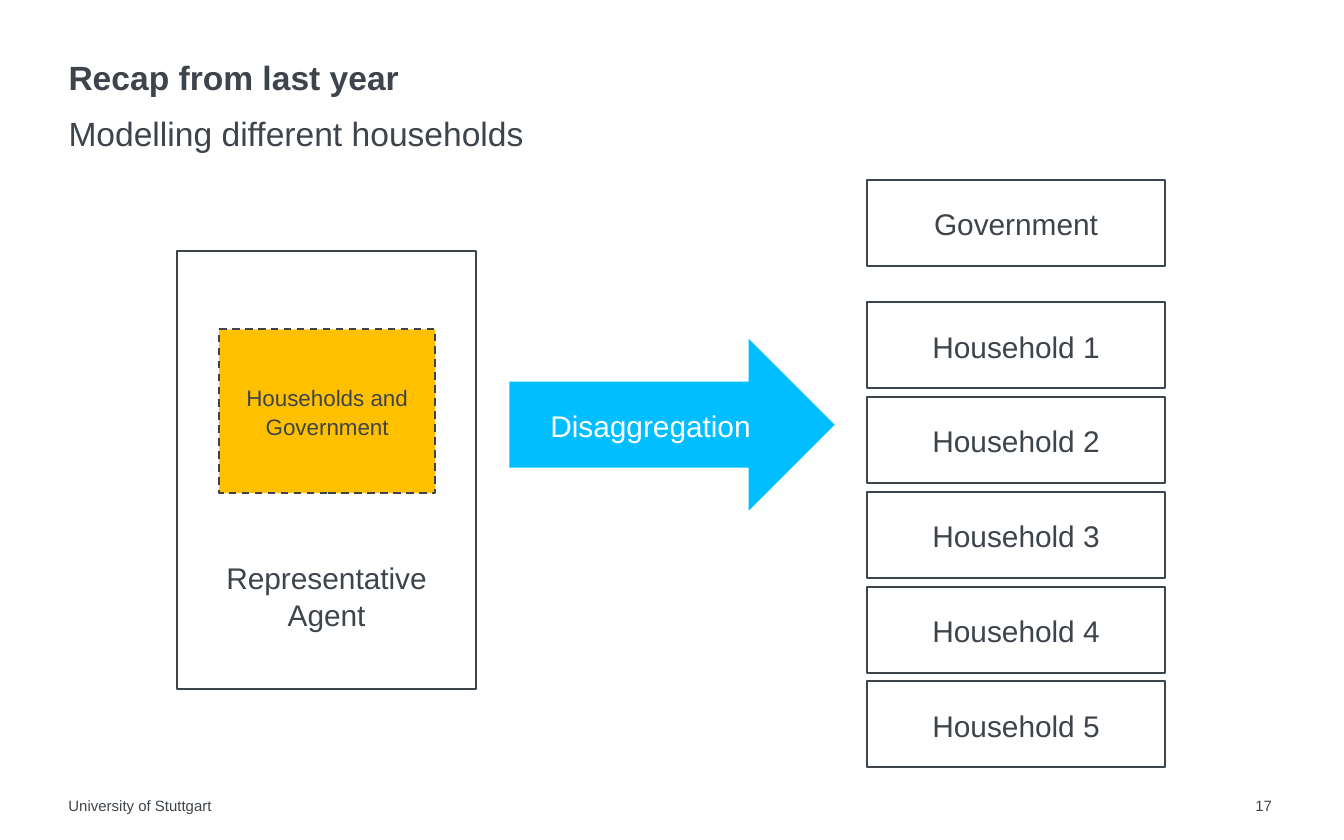
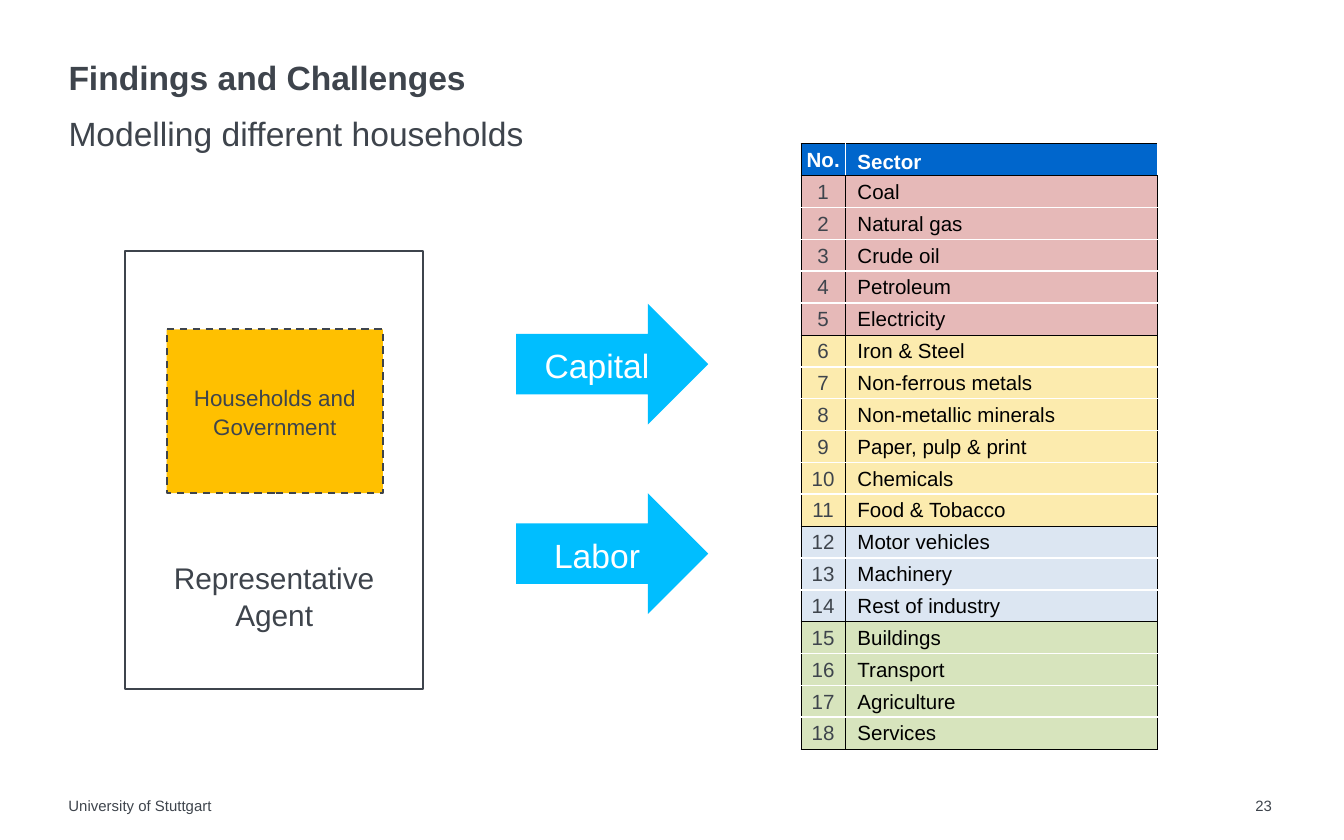
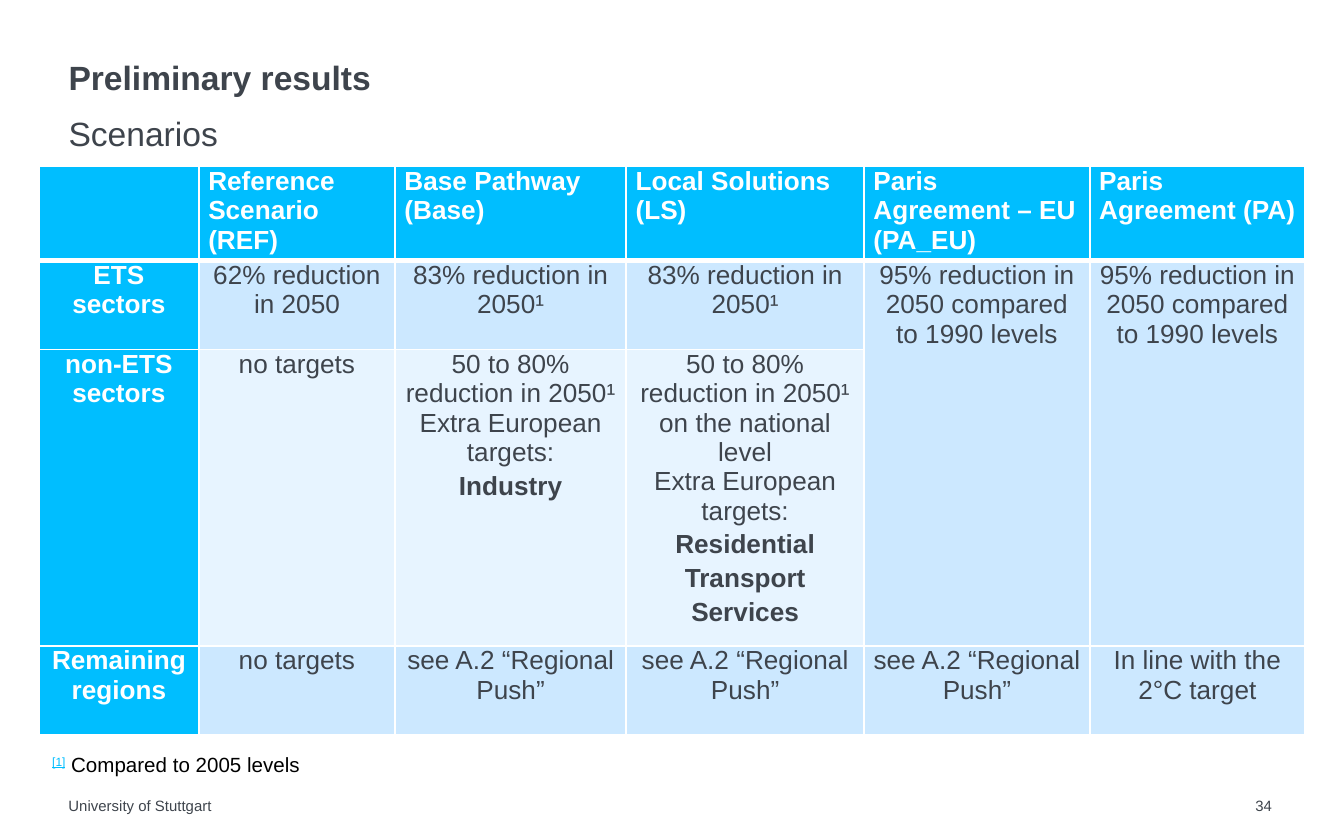
from dataclasses import dataclass
from itertools import product

from lxml.etree import SubElement
from pptx import Presentation
from pptx.dml.color import RGBColor
from pptx.enum.dml import MSO_LINE_DASH_STYLE as Dash
from pptx.enum.shapes import MSO_SHAPE as Shape
from pptx.enum.text import MSO_ANCHOR as Anchor, PP_ALIGN as Align
from pptx.oxml.ns import qn
from pptx.util import Inches, Pt


@dataclass(frozen=True)
class Theme:
    font: str = "Arial"
    ink: str = "3E444C"
    black: str = "000000"
    white: str = "FFFFFF"
    cyan: str = "00BEFF"
    amber: str = "FFC000"
    header_blue: str = "0066CC"
    pale_blue: str = "CCE8FF"
    paler_blue: str = "E7F4FF"
    energy: str = "E6B9B8"
    heavy_industry: str = "FCEBAE"
    other_industry: str = "DCE6F2"
    services: str = "D7E4BD"
    title_size: int = 18
    box_size: int = 16
    table_size: int = 14
    note_size: int = 12
    small_size: int = 11
    footer_size: int = 8


THEME = Theme()
SECTOR_GROUPS = [
    (THEME.energy, ["Coal", "Natural gas", "Crude oil", "Petroleum", "Electricity"]),
    (THEME.heavy_industry, ["Iron & Steel", "Non-ferrous metals", "Non-metallic minerals",
                            "Paper, pulp & print", "Chemicals", "Food & Tobacco"]),
    (THEME.other_industry, ["Motor vehicles", "Machinery", "Rest of industry"]),
    (THEME.services, ["Buildings", "Transport", "Agriculture", "Services"]),
]
PARIS_TARGET = "95% reduction in 2050 compared to 1990 levels"
REGIONAL_PUSH = "see A.2 “Regional Push”"
EXTRA_TARGETS = "Extra European targets:"
SCENARIO_ROWS = [
    ["", "Reference Scenario (REF)", "Base Pathway (Base)", "Local Solutions (LS)",
     "Paris Agreement – EU (PA_EU)", "Paris Agreement (PA)"],
    ["ETS sectors", "62% reduction in 2050", "83% reduction in 2050¹",
     "83% reduction in 2050¹", PARIS_TARGET, PARIS_TARGET],
    ["non-ETS sectors", "no targets",
     ["50 to 80% reduction in 2050¹", EXTRA_TARGETS, "Industry"],
     ["50 to 80% reduction in 2050¹ on the national level", EXTRA_TARGETS,
      "Residential", "Transport", "Services"], "", ""],
    ["Remaining regions", "no targets", REGIONAL_PUSH, REGIONAL_PUSH, REGIONAL_PUSH,
     "In line with the 2°C target"],
]


def set_attributes(target, values):
    for name, value in values.items():
        setattr(target, name, value)


def set_insets(target, left, top, right, bottom):
    set_attributes(target, {"margin_left": Inches(left), "margin_top": Inches(top),
                            "margin_right": Inches(right), "margin_bottom": Inches(bottom)})


def paint(item, color):
    item.fill.solid()
    item.fill.fore_color.rgb = RGBColor.from_string(color)


def add_run(paragraph, text, size, color=THEME.ink, **font_values):
    run = paragraph.add_run()
    run.text = text
    set_attributes(run.font, {"name": THEME.font, "size": Pt(size), **font_values})
    run.font.color.rgb = RGBColor.from_string(color)
    return run


def add_label(slide, box, text, size, anchor=Anchor.TOP, bold=False, spacing=1.0):
    frame = slide.shapes.add_textbox(*map(Inches, box)).text_frame
    set_attributes(frame, {"word_wrap": True, "vertical_anchor": anchor})
    set_insets(frame, 0, 0, 0, 0)
    paragraph = frame.paragraphs[0]
    paragraph.line_spacing = spacing
    add_run(paragraph, text, size, bold=bold)


def add_block(slide, box, text, size=THEME.box_size, kind=Shape.RECTANGLE, fill=THEME.white,
              outline=THEME.ink, color=THEME.ink, anchor=Anchor.MIDDLE, dash=None):
    block = slide.shapes.add_shape(kind, *map(Inches, box))
    block.shadow.inherit = False
    paint(block, fill)
    if outline:
        block.line.color.rgb = RGBColor.from_string(outline)
        set_attributes(block.line, {"width": Pt(1), "dash_style": dash})
    else:
        block.line.fill.background()
    set_attributes(block.text_frame, {"word_wrap": True, "vertical_anchor": anchor})
    paragraph = block.text_frame.paragraphs[0]
    set_attributes(paragraph, {"alignment": Align.CENTER, "line_spacing": 1.05})
    add_run(paragraph, text, size, color)
    return block


def add_arrow(slide, box, text, size):
    add_block(slide, box, text, size, Shape.RIGHT_ARROW, THEME.cyan, None, THEME.white)


def add_representative_agent(slide, left, top):
    agent = add_block(slide, (left, top, 2.22, 3.26), "Representative Agent",
                      anchor=Anchor.BOTTOM)
    agent.text_frame.margin_bottom = Inches(0.42)
    add_block(slide, (left + 0.31, top + 0.58, 1.61, 1.22), "Households and Government",
              THEME.note_size, fill=THEME.amber, dash=Dash.DASH)


def add_households(slide, left, top):
    size = (2.22, 0.64)
    add_block(slide, (left, top, *size), "Government")
    for index in range(5):
        add_block(slide, (left, top + 0.91 + index * 0.705, *size), f"Household {index + 1}")


def set_borders(cell, **sides):
    """Draw cell edges; each side L, R, T or B is given as (colour, points)."""
    properties = cell._tc.get_or_add_tcPr()
    edges = []
    for side in (name for name in "LRTB" if name in sides):
        color, width = sides[side]
        edge = SubElement(properties, qn(f"a:ln{side}"), w=str(int(Pt(width))))
        SubElement(SubElement(edge, qn("a:solidFill")), qn("a:srgbClr"), val=color)
        edges.append(edge)
    for position, edge in enumerate(edges):
        properties.insert(position, edge)


def add_plain_table(slide, left, top, widths, heights):
    table = slide.shapes.add_table(len(heights), len(widths), Inches(left), Inches(top),
                                   Inches(sum(widths)), Inches(sum(heights))).table
    set_attributes(table, {"first_row": False, "horz_banding": False})
    for column, width in zip(table.columns, widths):
        column.width = Inches(width)
    for row, height in zip(table.rows, heights):
        row.height = Inches(height)
    return table


def fill_sector_row(table, row, texts, fill, first, last):
    header = row == 0
    black, white = (THEME.black, 0.5), (THEME.white, 0.5)
    inner = white if header else black
    edges = {"T": black} if first else {}
    if last:
        edges["B"] = black
    for column, text in enumerate(texts):
        cell = table.cell(row, column)
        paint(cell, fill)
        cell.vertical_anchor = Anchor.MIDDLE
        set_insets(cell, 0.01, 0.01, 0.01, 0)
        set_borders(cell, L=inner if column else black, R=inner, **edges)
        paragraph = cell.text_frame.paragraphs[0]
        if column:
            paragraph._p.get_or_add_pPr().set("marL", str(Inches(0.08)))
            paragraph.line_spacing = 1.15 if header else 1.0
        else:
            paragraph.alignment = Align.CENTER
        body_color = THEME.black if column else THEME.ink
        add_run(paragraph, text, THEME.small_size,
                THEME.white if header else body_color, bold=header)


def add_sector_table(slide, left, top, height):
    row_count = 1 + sum(len(names) for _, names in SECTOR_GROUPS)
    table = add_plain_table(slide, left, top, [0.33, 2.32], [height / row_count] * row_count)
    fill_sector_row(table, 0, ["No.", "Sector"], THEME.header_blue, True, True)
    row = 0
    for fill, names in SECTOR_GROUPS:
        for name in names:
            row += 1
            fill_sector_row(table, row, [str(row), name], fill,
                            name == names[0], name == names[-1])


def fill_scenario_cell(cell, row, column, content):
    heading = row == 0 or column == 0
    band = THEME.paler_blue if row == 2 and column < 4 else THEME.pale_blue
    paint(cell, THEME.cyan if heading else band)
    set_insets(cell, 0.07, 0, 0.07, 0)
    thin, thick = (THEME.white, 1), (THEME.white, 3)
    set_borders(cell, L=thin, R=thin, T=thick if row == 1 else thin,
                B=thin if row else thick)
    lines = content if isinstance(content, list) else [content]
    for index, line in enumerate(lines):
        if not line:
            continue
        frame = cell.text_frame
        paragraph = frame.add_paragraph() if index else frame.paragraphs[0]
        target = index > 1
        set_attributes(paragraph, {"alignment": Align.CENTER if row else Align.LEFT,
                                   "line_spacing": 1.15 if target else 1.0})
        add_run(paragraph, line, THEME.table_size, THEME.white if heading else THEME.ink,
                bold=heading or target)


def add_scenario_table(slide, left, top):
    widths = [1.19, 1.46, 1.72, 1.77, 1.68, 1.6]
    heights = [0.66, 0.66, 2.09, 0.66]
    table = add_plain_table(slide, left, top, widths, heights)
    for row, column in product(range(len(heights)), range(len(widths))):
        fill_scenario_cell(table.cell(row, column), row, column, SCENARIO_ROWS[row][column])
    for column in (4, 5):
        table.cell(1, column).merge(table.cell(2, column))


def add_footnote(slide, box):
    frame = slide.shapes.add_textbox(*map(Inches, box)).text_frame
    set_attributes(frame, {"word_wrap": True, "vertical_anchor": Anchor.MIDDLE})
    paragraph = frame.paragraphs[0]
    paragraph.alignment = Align.JUSTIFY
    marker = add_run(paragraph, "[1]", THEME.small_size, THEME.cyan, underline=True)
    marker.font._element.set("baseline", "30000")
    add_run(paragraph, " Compared to 2005 levels", THEME.small_size, THEME.black)


def add_base_slide(presentation, title, subtitle, number):
    slide = presentation.slides.add_slide(presentation.slide_layouts[6])
    add_label(slide, (0.51, 0.43, 8.98, 0.3), title, THEME.title_size, Anchor.BOTTOM, True, 0.9)
    add_label(slide, (0.51, 0.78, 8.98, 0.3), subtitle, THEME.title_size, spacing=1.2)
    add_label(slide, (0.51, 5.93, 6.63, 0.14), "University of Stuttgart", THEME.footer_size)
    add_label(slide, (9.34, 5.93, 0.24, 0.14), number, THEME.footer_size)
    return slide


def build_recap(presentation):
    slide = add_base_slide(presentation, "Recap from last year",
                           "Modelling different households", "17")
    add_representative_agent(slide, 1.32, 1.87)
    add_arrow(slide, (3.79, 2.52, 2.42, 1.28), "Disaggregation", THEME.box_size)
    add_households(slide, 6.45, 1.34)


def build_findings(presentation):
    slide = add_base_slide(presentation, "Findings and Challenges",
                           "Modelling different households", "23")
    add_representative_agent(slide, 0.93, 1.87)
    for top, factor in ((2.26, "Capital"), (3.67, "Labor")):
        add_arrow(slide, (3.84, top, 1.43, 0.9), factor, THEME.title_size)
    add_sector_table(slide, 5.96, 1.07, 4.51)


def build_scenarios(presentation):
    slide = add_base_slide(presentation, "Preliminary results", "Scenarios", "34")
    add_scenario_table(slide, 0.29, 1.24)
    add_footnote(slide, (0.29, 5.54, 6.99, 0.29))


def main():
    presentation = Presentation()
    set_attributes(presentation, {"slide_width": Inches(10), "slide_height": Inches(6.25)})
    for build in (build_recap, build_findings, build_scenarios):
        build(presentation)
    presentation.save("out.pptx")


if __name__ == "__main__":
    main()
